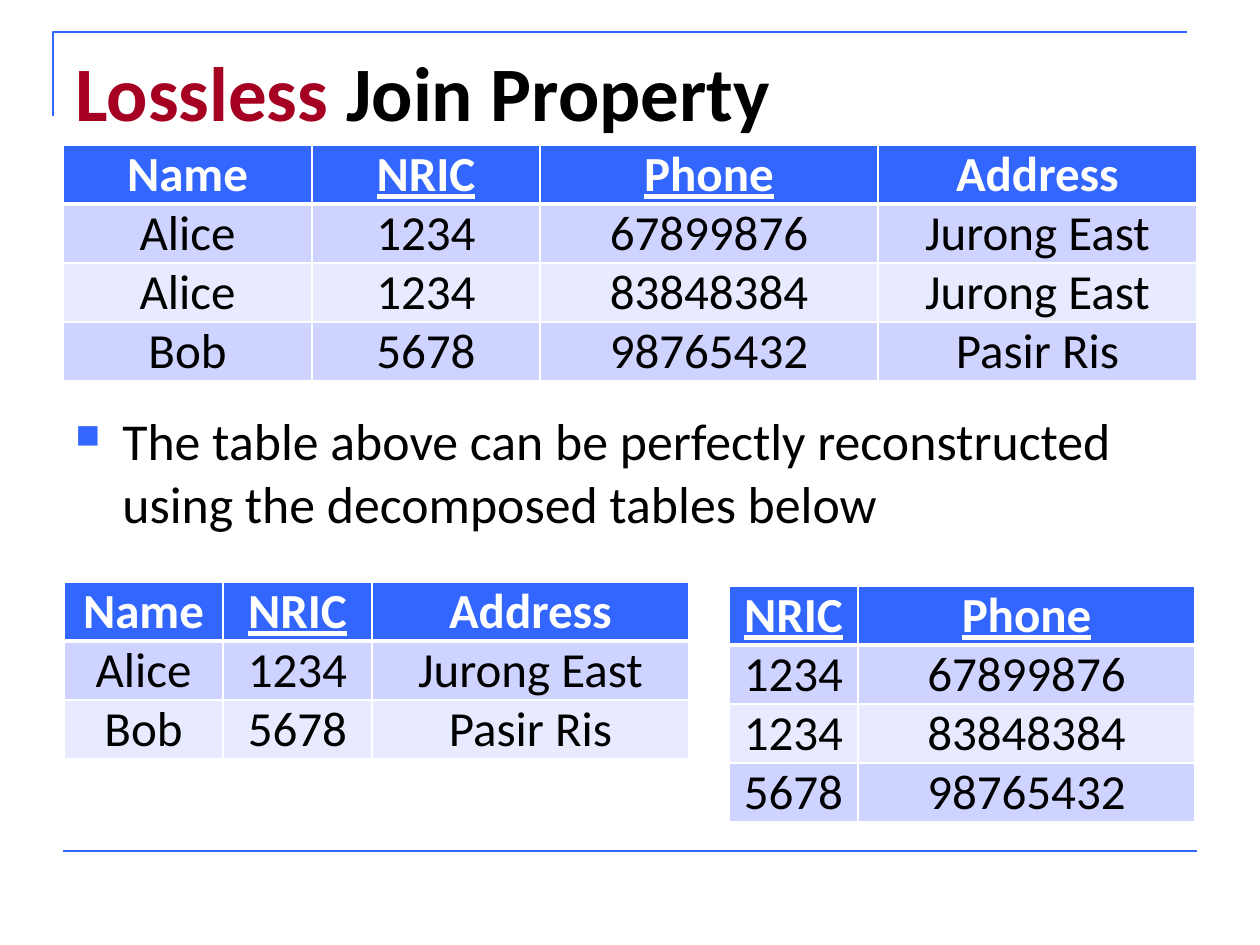
from pptx import Presentation
from pptx.dml.color import RGBColor
from pptx.enum.shapes import MSO_CONNECTOR
from pptx.enum.text import MSO_ANCHOR, PP_ALIGN
from pptx.oxml import parse_xml
from pptx.oxml.ns import nsdecls
from pptx.util import Inches, Pt

BLUE = RGBColor(0x33, 0x66, 0xFF)
RED = RGBColor(0xA5, 0x00, 0x21)
BLACK = RGBColor(0, 0, 0)
WHITE = RGBColor(255, 255, 255)
DARK = RGBColor(0xCE, 0xD3, 0xFF)
LIGHT = RGBColor(0xE8, 0xEA, 0xFF)
SCALE = Inches(1) / 126


def px(n):
    return round(n * SCALE)


def style(run, size, color, bold=False):
    run.font.name = "Calibri"
    run.font.size = Pt(size)
    run.font.color.rgb = color
    run.font.bold = bold


deck = Presentation()
deck.slide_width = px(1260)
deck.slide_height = px(945)
slide = deck.slides.add_slide(deck.slide_layouts[6])
shapes = slide.shapes

path = shapes.build_freeform(53, 116, scale=SCALE)
path.add_line_segments([(53, 32), (1187, 32)], close=False)
frame = path.convert_to_shape()
frame.shadow.inherit = False
frame.fill.background()
rule = shapes.add_connector(MSO_CONNECTOR.STRAIGHT, px(63), px(851), px(1197), px(851))
rule._element.spPr.append(parse_xml(f"<a:effectLst {nsdecls('a')}/>"))
for item in (frame, rule):
    item.line.color.rgb = BLUE
    item.line.width = Pt(1.5)

title = shapes.add_textbox(px(63), px(38), px(1134), px(157)).text_frame
title.word_wrap = True
for text, color in (("Lossless", RED), (" Join Property", BLACK)):
    run = title.paragraphs[0].add_run()
    run.text = text
    style(run, 44, color, True)

body = shapes.add_textbox(px(63), px(403), px(1134), px(149)).text_frame
body.word_wrap = True
body.text = "The table above can be perfectly reconstructed using the decomposed tables below"
para = body.paragraphs[0]
style(para.runs[0], 29.6, BLACK)
props = para._p.get_or_add_pPr()
props.set("marL", str(px(47)))
props.set("indent", str(px(-47)))
for part in (
    f'<a:buClr {nsdecls("a")}><a:srgbClr val="{BLUE}"/></a:buClr>',
    f'<a:buSzPct {nsdecls("a")} val="65000"/>',
    f'<a:buChar {nsdecls("a")} char="■"/>',
):
    props.append(parse_xml(part))

people = [
    ("Name", "NRIC", "Phone", "Address"),
    ("Alice", "1234", "67899876", "Jurong East"),
    ("Alice", "1234", "83848384", "Jurong East"),
    ("Bob", "5678", "98765432", "Pasir Ris"),
]
homes = [(row[0], row[1], row[3]) for row in (people[0], people[1], people[3])]
phones = [row[1:3] for row in people]
tables = [
    (63, 145, (249, 228, 338, 319), people, ("NRIC", "Phone"), MSO_ANCHOR.TOP),
    (64, 582, (159, 149, 317), homes, ("NRIC",), MSO_ANCHOR.TOP),
    (729, 586, (129, 337), phones, ("NRIC", "Phone"), MSO_ANCHOR.MIDDLE),
]
for left, top, widths, rows, keys, anchor in tables:
    grid = shapes.add_table(
        len(rows), len(widths), px(left), px(top), px(sum(widths)), px(59 * len(rows))
    ).table
    for col, width in zip(grid.columns, widths):
        col.width = px(width)
    for r, row in enumerate(rows):
        for c, text in enumerate(row):
            cell = grid.cell(r, c)
            cell.text = text
            cell.margin_top = cell.margin_bottom = 0
            cell.vertical_anchor = anchor
            para = cell.text_frame.paragraphs[0]
            para.alignment = PP_ALIGN.CENTER
            run = para.runs[0]
            style(run, 28, WHITE if r == 0 else BLACK, r == 0)
            run.font.underline = text in keys
            props = cell._tc.get_or_add_tcPr()
            for side in "LRTB":
                thick = (r, side) in ((0, "B"), (1, "T"))
                props.append(parse_xml(
                    f'<a:ln{side} {nsdecls("a")} w="{Pt(3 if thick else 1)}">'
                    f'<a:solidFill><a:srgbClr val="{WHITE}"/></a:solidFill></a:ln{side}>'
                ))
            cell.fill.solid()
            cell.fill.fore_color.rgb = BLUE if r == 0 else DARK if r % 2 else LIGHT

deck.save("out.pptx")
